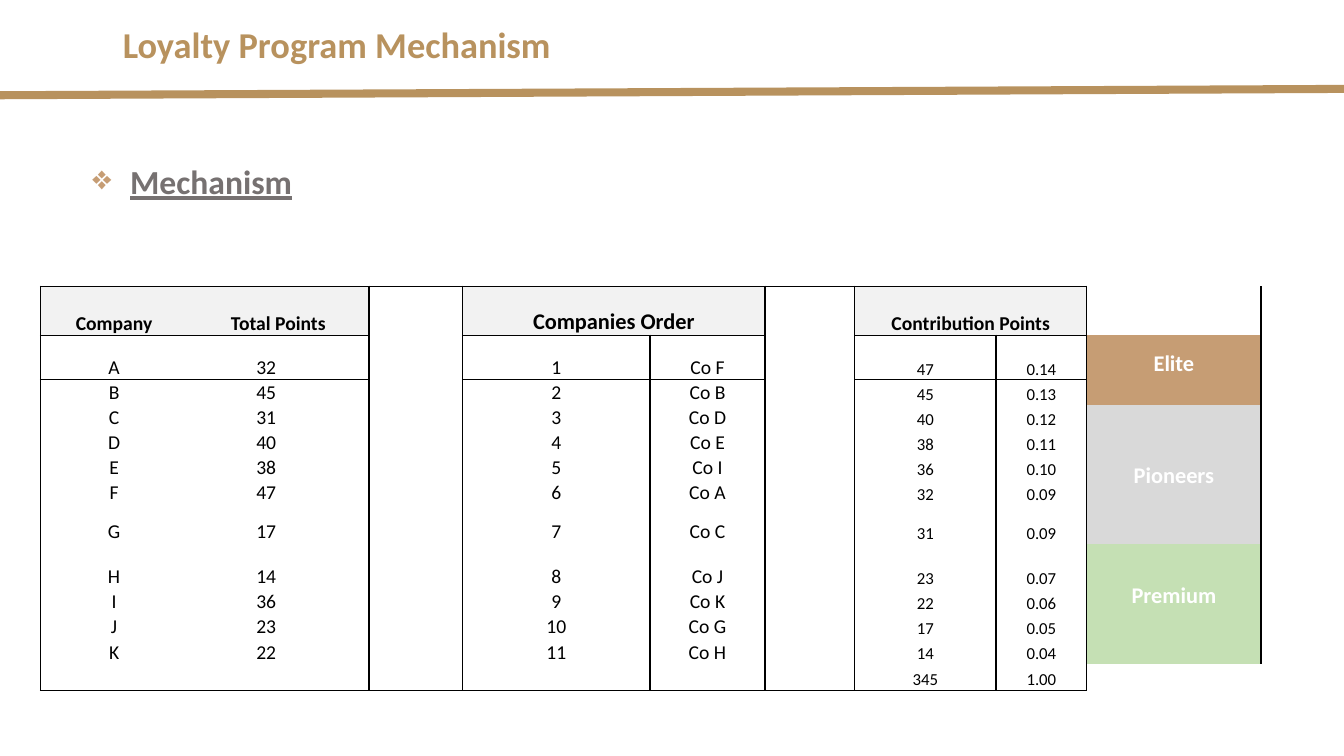
from dataclasses import dataclass

from lxml import etree
from pptx import Presentation
from pptx.dml.color import RGBColor
from pptx.enum.shapes import MSO_CONNECTOR
from pptx.enum.text import MSO_ANCHOR, MSO_AUTO_SIZE, PP_ALIGN
from pptx.oxml.ns import qn
from pptx.util import Cm, Pt

STRAIGHT = MSO_CONNECTOR.STRAIGHT
TOP, BOTTOM = MSO_ANCHOR.TOP, MSO_ANCHOR.BOTTOM
LEFT, CENTER = PP_ALIGN.LEFT, PP_ALIGN.CENTER
NO_FIT = MSO_AUTO_SIZE.NONE
PLAIN_TABLE = "{2D5ABB26-0587-4C30-8999-92F81FD0307C}"


@dataclass(frozen=True)
class Theme:
    """Colours, type sizes and font of the slide."""
    font: str = "Calibri"
    gold: str = "B8925E"
    bronze: str = "C69D74"
    silver: str = "D9D9D9"
    green: str = "C5E0B4"
    header: str = "F2F2F2"
    grey: str = "767171"
    black: str = "000000"
    white: str = "FFFFFF"
    title: int = 26
    heading: int = 24
    large: int = 16
    body: int = 14
    small: int = 12


THEME = Theme()
POINTS = dict(A=32, B=45, C=31, D=40, E=38, F=47, G=17, H=14, I=36, J=23, K=22)
TOTAL = sum(POINTS.values())
COL_WIDTHS = [3.71, 3.96, 0.61, 2.36, 4.72, 2.9, 2.26, 3.56, 2.29, 4.39]
ROW_HEIGHTS = [1.24, 1.12] + [0.62] * 5 + [0.98, 1.12] + [0.62] * 2 + [0.65] * 2
LAST_ROW = len(ROW_HEIGHTS) - 1
GAP_COLS, TIER_COL = (3, 6), 9
# column: (text, size, last column of the span)
HEADERS = {0: ("Company", THEME.body, 0),
           1: ("Total Points", THEME.body, 2),
           4: ("Companies Order", THEME.large, 5),
           7: ("Contribution Points", THEME.body, 8)}
# name, colour, first row, last row, space below in cm
TIERS = [("Elite", THEME.bronze, 1, 2, 0.69),
         ("Pioneers", THEME.silver, 3, 7, 1.38),
         ("Premium", THEME.green, 8, 11, 1.38)]


def has_vertical(edge, row):
    """Tell whether a rule stands left of column `edge` in a row."""
    return (edge in (0, 3, 6, 9) or (edge in (4, 7) and row > 0)
            or (edge == 10 and row < LAST_ROW))


def has_horizontal(edge, col):
    """Tell whether a rule lies above row `edge` in a column."""
    if col == TIER_COL:
        return False
    return edge in (0, LAST_ROW + 1) or (edge == 1 and col not in GAP_COLS)


class SlideBuilder:
    """Holds the theme and the current slide, and adds elements to it."""

    def __init__(self, slide, theme):
        """Keep the slide and its style."""
        self.slide, self.theme = slide, theme

    def add_run(self, p, text, size, color, bold=False, underline=False):
        """Append one formatted run to a paragraph."""
        r = p.add_run()
        r.text = text
        r.font.name, r.font.size = self.theme.font, Pt(size)
        r.font.bold, r.font.underline = bold, underline
        r.font.color.rgb = RGBColor.from_string(color)

    def title(self, text, box):
        """Place and format the title placeholder."""
        sp = self.slide.shapes.title
        sp.left, sp.top, sp.width, sp.height = map(Cm, box)
        tf = sp.text_frame
        tf.auto_size, tf.word_wrap, tf.vertical_anchor = NO_FIT, False, TOP
        p = tf.paragraphs[0]
        p.alignment = LEFT
        self.add_run(p, text, self.theme.title, self.theme.gold, bold=True)

    def line(self, start, end, color, width):
        """Draw a straight line without a shadow."""
        sp = self.slide.shapes.add_connector(
            STRAIGHT, *map(Cm, start), *map(Cm, end))
        sp.line.color.rgb = RGBColor.from_string(color)
        sp.line.width = Pt(width)
        etree.SubElement(sp._element.spPr, qn("a:effectLst"))

    def bullet_heading(self, text, box):
        """Add an underlined heading with a coloured bullet."""
        tf = self.slide.shapes.add_textbox(*map(Cm, box)).text_frame
        tf.word_wrap = True
        p = tf.paragraphs[0]
        p.line_spacing = 2.0
        pPr = p._p.get_or_add_pPr()
        pPr.set("marL", str(Cm(0.95)))
        pPr.set("indent", str(-Cm(0.95)))
        clr = etree.SubElement(pPr, qn("a:buClr"))
        etree.SubElement(clr, qn("a:srgbClr"), val=self.theme.bronze)
        etree.SubElement(pPr, qn("a:buChar"), char="❖")
        self.add_run(p, text, self.theme.heading, self.theme.grey, True, True)

    def table(self, left, top, widths, heights):
        """Add an unstyled table with tight, ruled cells."""
        frame = self.slide.shapes.add_table(
            len(heights), len(widths), Cm(left), Cm(top),
            Cm(sum(widths)), Cm(sum(heights)))
        table = frame.table
        table.first_row = table.horz_banding = False
        table._tbl.tblPr.find(qn("a:tableStyleId")).text = PLAIN_TABLE
        for col, width in zip(table.columns, widths):
            col.width = Cm(width)
        for row, height in zip(table.rows, heights):
            row.height = Cm(height)
        for i in range(len(heights)):
            for j in range(len(widths)):
                self.prepare_cell(table.cell(i, j), i, j)
        return table

    def prepare_cell(self, cell, row, col):
        """Set margins, empty-text size, rules and fill of a cell."""
        cell.margin_left = cell.margin_right = cell.margin_top = Cm(0.03)
        cell.margin_bottom = 0
        cell.vertical_anchor = BOTTOM
        p = cell.text_frame.paragraphs[0]
        etree.SubElement(p._p, qn("a:endParaRPr"), sz=str(self.theme.small * 100))
        tcPr = cell._tc.get_or_add_tcPr()
        edges = {"a:lnL": has_vertical(col, row),
                 "a:lnR": has_vertical(col + 1, row),
                 "a:lnT": has_horizontal(row, col),
                 "a:lnB": has_horizontal(row + 1, col)}
        for tag, shown in edges.items():
            if shown:
                ln = etree.SubElement(tcPr, qn(tag), w=str(Pt(1)))
                fill = etree.SubElement(ln, qn("a:solidFill"))
                etree.SubElement(fill, qn("a:srgbClr"), val=self.theme.black)
        self.fill_cell(cell, self.theme.white)

    def fill_cell(self, cell, color):
        """Give a cell a solid fill."""
        cell.fill.solid()
        cell.fill.fore_color.rgb = RGBColor.from_string(color)

    def cell_text(self, cell, text, size, color=THEME.black, bold=False):
        """Write centred text into a cell."""
        p = cell.text_frame.paragraphs[0]
        p.alignment = CENTER
        self.add_run(p, text, size, color, bold)


def fill_points(builder, table):
    """Write the headers, the points, the ranking and the shares."""
    t = builder.theme
    for col, (text, size, last) in HEADERS.items():
        cell = table.cell(0, col)
        if last > col:
            cell.merge(table.cell(0, last))
        builder.fill_cell(cell, t.header)
        builder.cell_text(cell, text, size, bold=True)
    ranking = sorted(POINTS.items(), key=lambda item: -item[1])
    pairs = zip(POINTS.items(), ranking)
    for row, ((name, points), (ranked, score)) in enumerate(pairs, start=1):
        values = {0: name, 1: points, 4: row, 5: f"Co {ranked}",
                  7: score, 8: f"{score / TOTAL:.2f}"}
        for col, value in values.items():
            size = t.small if col >= 7 else t.body
            builder.cell_text(table.cell(row, col), str(value), size)
    for col, text in ((7, str(TOTAL)), (8, "1.00")):
        builder.cell_text(table.cell(LAST_ROW, col), text, t.small)


def fill_tiers(builder, table):
    """Merge and colour the loyalty tiers."""
    t = builder.theme
    for name, color, first, last, below in TIERS:
        cell = table.cell(first, TIER_COL)
        cell.merge(table.cell(last, TIER_COL))
        cell.margin_bottom = Cm(below)
        builder.fill_cell(cell, color)
        builder.cell_text(cell, name, t.large, t.white, bold=True)


def main():
    """Build the slide and save it."""
    prs = Presentation()
    prs.slide_width, prs.slide_height = Cm(33.87), Cm(19.05)
    builder = SlideBuilder(prs.slides.add_slide(prs.slide_layouts[5]), THEME)
    builder.line((0, 2.4), (33.87, 2.24), THEME.gold, 5.75)
    table = builder.table(1.02, 7.21, COL_WIDTHS, ROW_HEIGHTS)
    fill_points(builder, table)
    fill_tiers(builder, table)
    builder.title("Loyalty Program Mechanism", (2.84, 0.43, 11.66, 1.37))
    builder.bullet_heading("Mechanism", (2.08, 2.92, 28.63, 2.01))
    prs.save("out.pptx")


main()
